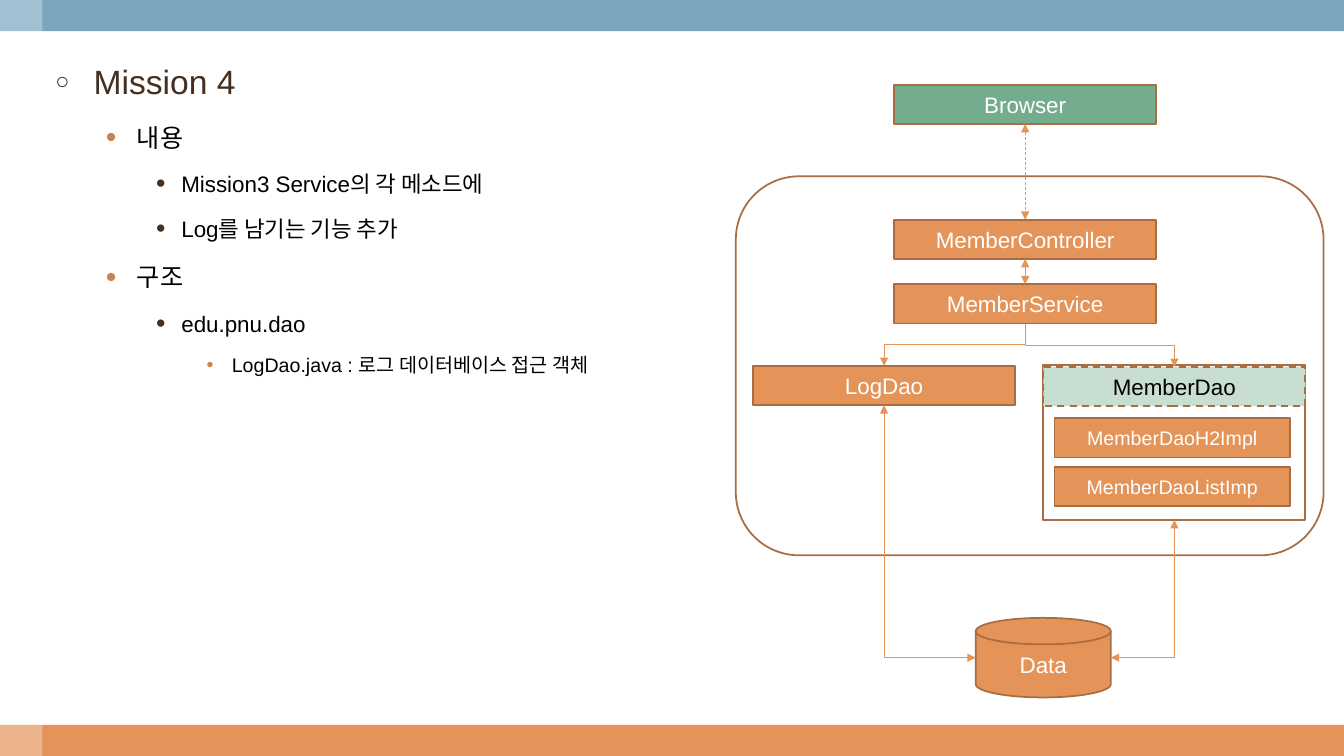
from dataclasses import dataclass

from lxml import etree
from pptx import Presentation
from pptx.dml.color import RGBColor
from pptx.enum.dml import MSO_LINE
from pptx.enum.shapes import MSO_CONNECTOR, MSO_SHAPE
from pptx.enum.text import MSO_ANCHOR, PP_ALIGN
from pptx.oxml.ns import qn
from pptx.util import Inches, Pt

RECT, ROUNDED = MSO_SHAPE.RECTANGLE, MSO_SHAPE.ROUNDED_RECTANGLE
DISK = MSO_SHAPE.FLOWCHART_MAGNETIC_DISK
STRAIGHT, ELBOW = MSO_CONNECTOR.STRAIGHT, MSO_CONNECTOR.ELBOW
DASH = MSO_LINE.DASH
MIDDLE, CENTER = MSO_ANCHOR.MIDDLE, PP_ALIGN.CENTER
TOP, LEFT, BOTTOM, RIGHT = range(4)
DISK_SITES = {LEFT: "2", RIGHT: "4"}

SLIDE_W, SLIDE_H = Inches(13.333), Inches(7.5)
COLUMN, ROW = SLIDE_W / 100, SLIDE_H / 100
NODE_W, NODE_H, IMPL_W = 19.5, 5.2, 17.55


@dataclass(frozen=True)
class Theme:
    """Colours, font and type sizes of the slide."""
    font: str = "Arial"
    orange: str = "E49458"
    outline: str = "A96D41"
    blue: str = "7BA5BE"
    green: str = "74AD8D"
    mint: str = "C7DED1"
    white: str = "FFFFFF"
    black: str = "000000"
    brown: str = "433021"
    bullet: str = "C9834E"
    node: int = 16
    small: int = 14
    border: float = 1.25
    arrow: float = 0.5


@dataclass(frozen=True)
class Box:
    """A region measured in columns and rows of a 100 by 100 slide grid."""
    left: float
    top: float
    width: float
    height: float

    def inner(self, left, top, width, height):
        """Return a box offset from this one's corner."""
        return Box(self.left + left, self.top + top, width, height)

    def emu(self):
        """Return left, top, width and height as slide lengths."""
        return (round(self.left * COLUMN), round(self.top * ROW),
                round(self.width * COLUMN), round(self.height * ROW))


THEME = Theme()
OUTLINE_LEVELS = [
    dict(size=24, color=THEME.brown, mark="○", mark_color=THEME.brown,
         mark_size=70, indent=0.38, hang=0.38),
    dict(size=18, color=THEME.black, mark="•", mark_color=THEME.bullet,
         mark_size=120, indent=0.81, hang=0.31),
    dict(size=16, color=THEME.black, mark="•", mark_color=THEME.brown,
         mark_size=120, indent=1.25, hang=0.25),
    dict(size=14, color=THEME.black, mark="•", mark_color=THEME.bullet,
         mark_size=100, indent=1.75, hang=0.25),
]
MISSION = [
    (0, "Mission 4"),
    (1, "내용"),
    (2, "Mission3 Service의 각 메소드에"),
    (2, "Log를 남기는 기능 추가"),
    (1, "구조"),
    (2, "edu.pnu.dao"),
    (3, "LogDao.java : 로그 데이터베이스 접근 객체"),
]


def style_text(paragraph, size, color):
    """Format every run of a paragraph."""
    for run in paragraph.runs:
        run.font.name = THEME.font
        run.font.size = Pt(size)
        run.font.color.rgb = RGBColor.from_string(color)


def add_block(slide, box, fill=None, border=THEME.outline, kind=RECT):
    """Add a preset shape with a plain fill and border."""
    block = slide.shapes.add_shape(kind, *box.emu())
    block.shadow.inherit = False
    if fill:
        block.fill.solid()
        block.fill.fore_color.rgb = RGBColor.from_string(fill)
    else:
        block.fill.background()
    if border:
        block.line.color.rgb = RGBColor.from_string(border)
        block.line.width = Pt(THEME.border)
    else:
        block.line.fill.background()
    return block


def add_node(slide, box, label, fill=THEME.orange, color=THEME.white,
             size=THEME.node, kind=RECT):
    """Add a labelled block of the diagram."""
    node = add_block(slide, box, fill, kind=kind)
    frame = node.text_frame
    frame.word_wrap = True
    frame.vertical_anchor = MIDDLE
    frame.text = label
    frame.paragraphs[0].alignment = CENTER
    style_text(frame.paragraphs[0], size, color)
    return node


def turn_elbow(link, preset):
    """Make an elbow leave its start vertically."""
    goes_left = link.end_x < link.begin_x
    center_x = (link.begin_x + link.end_x) // 2
    center_y = (link.begin_y + link.end_y) // 2
    across, down = link.width, link.height
    link.left, link.top = center_x - down // 2, center_y - across // 2
    link.width, link.height = down, across
    transform = link.element.spPr.find(qn("a:xfrm"))
    transform.set("rot", str((90 if goes_left else 270) * 60000))
    transform.set("flipH", "0" if goes_left else "1")
    transform.set("flipV", "0")
    link.element.spPr.find(qn("a:prstGeom")).set("prst", preset)


def add_link(slide, start, start_side, end, end_side, preset=None,
             both_ways=True, dashed=False):
    """Join two blocks with an arrow, straight unless an elbow is named."""
    link = slide.shapes.add_connector(ELBOW if preset else STRAIGHT, 0, 0, 0, 0)
    link.begin_connect(start, start_side)
    link.end_connect(end, end_side)
    if end_side in DISK_SITES:
        next(link.element.iter(qn("a:endCxn"))).set("idx", DISK_SITES[end_side])
    if preset:
        turn_elbow(link, preset)
    link.line.color.rgb = RGBColor.from_string(THEME.orange)
    link.line.width = Pt(THEME.arrow)
    if dashed:
        link.line.dash_style = DASH
    outline = link.element.spPr.find(qn("a:ln"))
    for tip in (["a:headEnd"] if both_ways else []) + ["a:tailEnd"]:
        etree.SubElement(outline, qn(tip), type="triangle")
    etree.SubElement(link.element.spPr, qn("a:effectLst"))


def add_bands(slide, box):
    """Draw the top and bottom bands and the pale strip over their left end."""
    band_h = 4.13
    add_block(slide, box.inner(0, box.height - band_h, box.width, band_h),
              THEME.orange, None)
    add_block(slide, box.inner(0, 0, box.width, band_h), THEME.blue, None)
    strip = add_block(slide, box.inner(0, 0, 3.15, box.height), THEME.white, None)
    color = next(strip.element.spPr.iter(qn("a:srgbClr")))
    etree.SubElement(color, qn("a:alpha"), val="30000")


def add_mission(slide, box):
    """Write the bulleted outline of the mission."""
    frame = slide.shapes.add_textbox(*box.emu()).text_frame
    frame.word_wrap = True
    for index, (level, text) in enumerate(MISSION):
        look = OUTLINE_LEVELS[level]
        paragraph = frame.add_paragraph() if index else frame.paragraphs[0]
        paragraph.text = text
        paragraph.level = level
        paragraph.line_spacing = 1.5
        paragraph.space_before = Pt(look["size"] * 0.2)
        style_text(paragraph, look["size"], look["color"])
        props = paragraph._p.get_or_add_pPr()
        props.set("marL", str(Inches(look["indent"])))
        props.set("indent", str(-Inches(look["hang"])))
        tint = etree.SubElement(props, qn("a:buClr"))
        etree.SubElement(tint, qn("a:srgbClr"), val=look["mark_color"])
        etree.SubElement(props, qn("a:buSzPct"), val=str(look["mark_size"] * 1000))
        etree.SubElement(props, qn("a:buFont"), typeface=THEME.font)
        etree.SubElement(props, qn("a:buChar"), char=look["mark"])


def add_architecture(slide, box):
    """Draw the layers from the browser down to the data store."""
    add_block(slide, box.inner(0, 12.13, box.width, 50.13), THEME.white, kind=ROUNDED)
    dao_frame = add_block(slide, box.inner(22.88, 37.07, NODE_W, 20.53))
    browser, controller, service = (
        add_node(slide, box.inner(11.78, top, NODE_W, NODE_H), label, fill)
        for label, top, fill in [("Browser", 0, THEME.green),
                                 ("MemberController", 17.87, THEME.orange),
                                 ("MemberService", 26.4, THEME.orange)])
    log_dao = add_node(slide, box.inner(1.28, 37.2, NODE_W, NODE_H), "LogDao")
    member_dao = add_node(slide, box.inner(22.88, 37.33, NODE_W, NODE_H),
                          "MemberDao", THEME.mint, THEME.black)
    member_dao.line.dash_style = DASH
    for index, label in enumerate(["MemberDaoH2Impl", "MemberDaoListImp"]):
        add_node(slide, box.inner(23.7, 44.13 + 6.4 * index, IMPL_W, NODE_H),
                 label, size=THEME.small)
    data = add_node(slide, box.inner(17.85, 70.53, 10.05, 10.53), "Data", kind=DISK)

    add_link(slide, browser, BOTTOM, controller, TOP, dashed=True)
    add_link(slide, controller, BOTTOM, service, TOP)
    for dao in (log_dao, member_dao):
        add_link(slide, service, BOTTOM, dao, TOP, "bentConnector3", both_ways=False)
    for source, side in ((log_dao, LEFT), (dao_frame, RIGHT)):
        add_link(slide, source, BOTTOM, data, side, "bentConnector2")


def main():
    """Build and save the slide."""
    deck = Presentation()
    deck.slide_width, deck.slide_height = SLIDE_W, SLIDE_H
    slide = deck.slides.add_slide(deck.slide_layouts[6])
    add_bands(slide, Box(0, 0, 100, 100))
    add_mission(slide, Box(3.38, 4.8, 50, 90.27))
    add_architecture(slide, Box(54.75, 11.2, 43.73, 81.06))
    deck.save("out.pptx")


if __name__ == "__main__":
    main()
